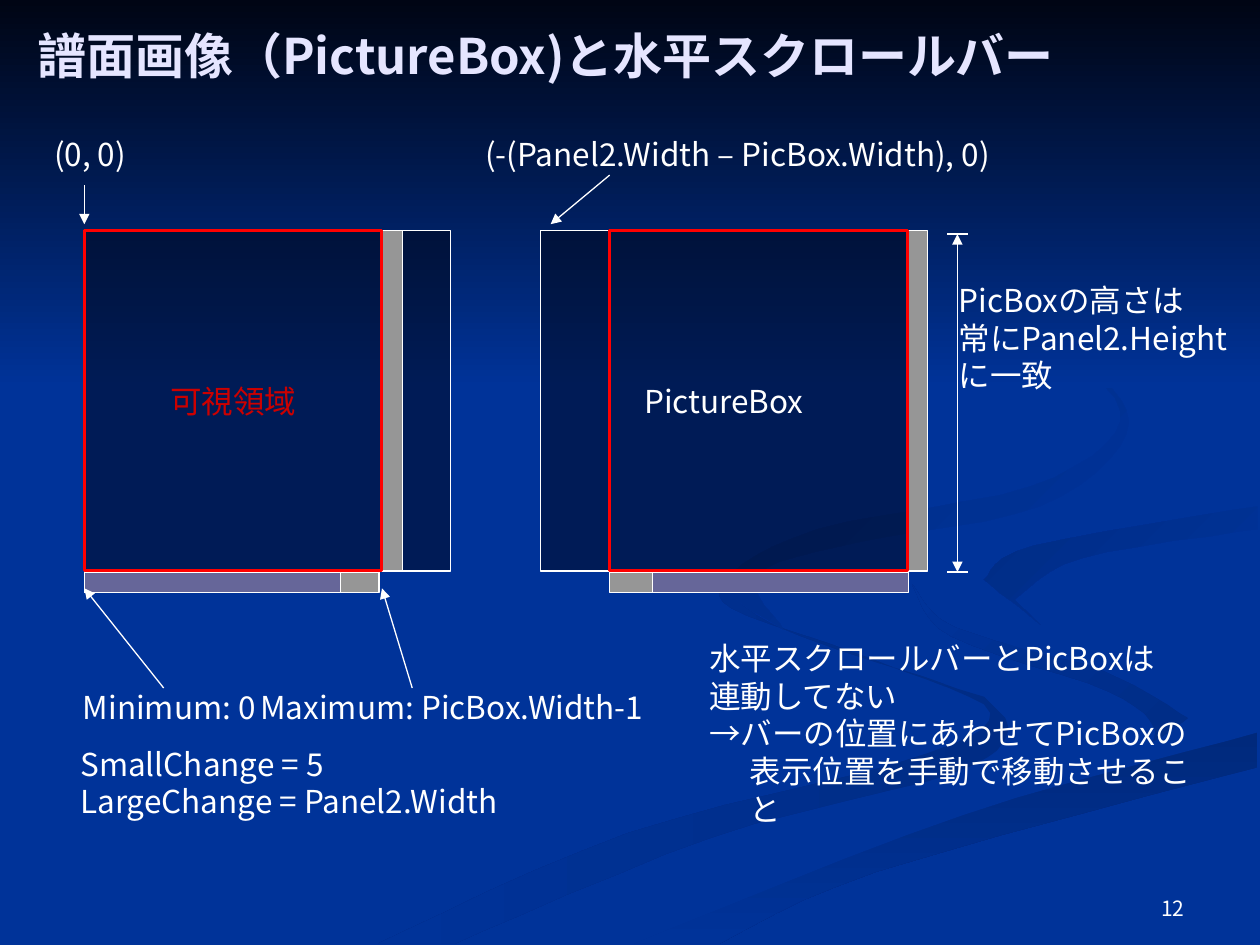
"""Build the slide on a score picture box and its horizontal scroll bar."""
from typing import NamedTuple, Optional

from lxml.etree import SubElement
from pptx import Presentation
from pptx.dml.color import RGBColor
from pptx.enum.shapes import MSO_CONNECTOR, MSO_SHAPE
from pptx.enum.text import MSO_ANCHOR, MSO_AUTO_SIZE, PP_ALIGN
from pptx.oxml.ns import qn
from pptx.util import Cm, Pt

FONT = "Noto Sans CJK JP"
BLUE = RGBColor(0x00, 0x33, 0x99)
NAVY = RGBColor(0x00, 0x05, 0x14)
SHADE = RGBColor(0x00, 0x2C, 0x85)
DEEP_SHADE = RGBColor(0x00, 0x29, 0x7C)
WHITE = RGBColor(0xFF, 0xFF, 0xFF)
LAVENDER = RGBColor(0xE5, 0xE5, 0xFF)
GRAY = RGBColor(0x96, 0x96, 0x96)
THUMB = RGBColor(0x66, 0x66, 0x99)
RED = RGBColor(0xFF, 0x00, 0x00)
DARK_RED = RGBColor(0xCC, 0x00, 0x00)

PANEL_TOP, PANEL_HEIGHT, PICTURE_WIDTH, VIEW_WIDTH = 4.65, 6.86, 7.39, 6.0
BAR_TOP, BAR_SIZE, TRACK_WIDTH, THUMB_WIDTH = 11.53, 0.41, 5.94, 5.16
LINE_HEIGHT = 0.76
SWIRL_UNIT = Cm(0.0254)
CURVE_STEPS = 6


class Swirl(NamedTuple):
    start: RGBColor
    end: RGBColor
    angle: int
    edges: list


class Panel(NamedTuple):
    picture_left: float
    view_left: float
    thumb_left: float
    picture_text: str
    view_text: str


class Label(NamedTuple):
    left: float
    top: float
    width: float
    lines: list
    last_indent: float = 0


class Arrow(NamedTuple):
    start: tuple
    end: tuple
    head: bool = False
    tail: bool = True


SWIRLS = [
    Swirl(SHADE, BLUE, 180, [
        [(781, 553), (614, 496), (575, 459)],
        [(575, 459), (581, 483), (697, 525), (786, 566), (714, 605), (499, 661), (300, 749)],
        [(361, 749), (564, 665), (756, 614), (800, 581), (781, 553)]]),
    Swirl(SHADE, BLUE, 225, [
        [(724, 464), (755, 505), (880, 549), (917, 581), (894, 605)],
        [(943, 570), (870, 530), (758, 498), (724, 464)]]),
    Swirl(DEEP_SHADE, BLUE, 90, [
        [(571, 749), (695, 692), (998, 609)],
        [(998, 581), (764, 647), (503, 749)]]),
    Swirl(BLUE, BLUE, 90, [
        [(725, 464), (775, 503), (905, 540), (943, 570), (843, 618), (619, 684), (477, 749)],
        [(503, 749), (764, 647), (999, 581)],
        [(999, 538), (804, 485), (781, 463), (865, 424), (999, 402)],
        [(999, 387), (770, 427), (725, 464)]]),
    Swirl(BLUE, SHADE, 225, [
        [(781, 460), (826, 496)],
        [(805, 476), (859, 443), (998, 420)],
        [(998, 402), (821, 433), (781, 460)]]),
    Swirl(BLUE, SHADE, 225, [
        [(762, 233), (864, 291), (894, 344), (825, 402), (683, 430), (578, 456), (622, 500)][:4]
        + [(683, 430), (601, 456), (622, 500)],
        [(622, 500), (577, 462), (649, 420), (818, 386), (889, 335), (846, 279), (762, 233)]]),
    Swirl(NAVY, BLUE, 90, [[(0, 0), (0, 308)], [(1000, 308), (1000, 0)]]),
]

PANELS = [
    Panel(1.7, 1.7, 1.7, "", "可視領域"),
    Panel(10.9, 12.29, 13.16, "PictureBox", ""),
]

LABELS = [
    Label(1.42, 13.87, 3.99, ["Minimum: 0"]),
    Label(5.0, 13.87, 8.26, ["Maximum: PicBox.Width-1"]),
    Label(1.37, 15.01, 8.99, ["SmallChange = 5", "LargeChange = Panel2.Width"]),
    Label(0.84, 2.72, 1.96, ["(0, 0)"]),
    Label(9.53, 2.72, 10.77, ["(-(Panel2.Width – PicBox.Width), 0)"]),
    Label(14.05, 12.88, 10.8, ["水平スクロールバーとPicBoxは", "連動してない",
                               "→バーの位置にあわせてPicBoxの", "表示位置を手動で移動させること"], 0.81),
    Label(19.08, 5.66, 6.1, ["PicBoxの高さは", "常にPanel2.Height", "に一致"]),
]

ARROWS = [
    Arrow((3.3, 13.87), (1.7, 11.86)),
    Arrow((8.31, 13.87), (7.7, 11.86)),
    Arrow((12.29, 3.53), (11.1, 4.52)),
    Arrow((1.7, 3.73), (1.7, 4.52)),
    Arrow((19.1, 11.53), (19.51, 11.53), tail=False),
    Arrow((19.1, 4.72), (19.51, 4.72), tail=False),
    Arrow((19.3, 11.53), (19.3, 4.72), head=True),
]


def write_text(frame, text: str, *, size=18, color=WHITE, bold=False, align=PP_ALIGN.LEFT,
               anchor=MSO_ANCHOR.TOP, wrap=False, inset=0.0, spacing=None) -> None:
    frame.text = text
    frame.word_wrap = wrap
    frame.vertical_anchor = anchor
    frame.margin_left = frame.margin_right = Cm(0.25)
    frame.margin_top = frame.margin_bottom = Cm(inset)
    for paragraph in frame.paragraphs:
        paragraph.alignment = align
        paragraph.line_spacing = spacing
        for run in paragraph.runs:
            run.font.name, run.font.size, run.font.bold = FONT, Pt(size), bold
            run.font.color.rgb = color
            SubElement(run.font._element, qn("a:ea")).set("typeface", FONT)


def smooth(edge: list) -> list:
    padded = [edge[0], *edge, edge[-1]]
    points = [edge[0]]
    for before, start, end, after in zip(padded, padded[1:], padded[2:], padded[3:]):
        for step in range(1, CURVE_STEPS + 1):
            t = step / CURVE_STEPS
            points.append(tuple(
                b + t * (c - a + t * (2 * a - 5 * b + 4 * c - d + t * (3 * b - a - 3 * c + d))) / 2
                for a, b, c, d in zip(before, start, end, after)))
    return points


def draw_swirl(slide, swirl: Swirl) -> None:
    points = [point for edge in swirl.edges for point in smooth(edge)]
    builder = slide.shapes.build_freeform(*points[0], scale=SWIRL_UNIT)
    builder.add_line_segments(points[1:], close=True)
    shape = builder.convert_to_shape()
    shape.shadow.inherit = False
    shape.line.fill.background()
    shape.fill.gradient()
    shape.fill.gradient_angle = 360 - swirl.angle
    for stop, color, position in zip(shape.fill.gradient_stops, (swirl.start, swirl.end), (0, 1)):
        stop.color.rgb, stop.position = color, position


def draw_box(slide, left: float, top: float, width: float, height: float,
             fill: Optional[RGBColor] = None, line=WHITE, weight=0.75, alpha=100, text="", color=WHITE) -> None:
    shape = slide.shapes.add_shape(MSO_SHAPE.RECTANGLE, Cm(left), Cm(top), Cm(width), Cm(height))
    shape.shadow.inherit = False
    shape.line.color.rgb, shape.line.width = line, Pt(weight)
    if fill is None:
        shape.fill.background()
    else:
        shape.fill.solid()
        shape.fill.fore_color.rgb = fill
    if alpha < 100:
        color_element = shape._element.spPr.find(qn("a:solidFill")).find(qn("a:srgbClr"))
        SubElement(color_element, qn("a:alpha")).set("val", str(alpha * 1000))
    if text:
        write_text(shape.text_frame, text, color=color, align=PP_ALIGN.CENTER, anchor=MSO_ANCHOR.MIDDLE)


def draw_panel(slide, panel: Panel) -> None:
    view_right = panel.view_left + VIEW_WIDTH
    draw_box(slide, panel.picture_left, PANEL_TOP, PICTURE_WIDTH, PANEL_HEIGHT, NAVY, alpha=50,
             text=panel.picture_text)
    draw_box(slide, panel.view_left, BAR_TOP, TRACK_WIDTH, BAR_SIZE, GRAY)
    draw_box(slide, view_right, PANEL_TOP, BAR_SIZE, PANEL_HEIGHT, GRAY)
    draw_box(slide, panel.thumb_left, BAR_TOP, THUMB_WIDTH, BAR_SIZE, THUMB)
    draw_box(slide, panel.view_left, PANEL_TOP, VIEW_WIDTH, PANEL_HEIGHT, line=RED, weight=1.75,
             text=panel.view_text, color=DARK_RED)


def draw_label(slide, label: Label) -> None:
    height = LINE_HEIGHT * len(label.lines)
    box = slide.shapes.add_textbox(Cm(label.left), Cm(label.top), Cm(label.width), Cm(height))
    write_text(box.text_frame, "\n".join(label.lines), spacing=Pt(21.6))
    box.text_frame.auto_size = MSO_AUTO_SIZE.SHAPE_TO_FIT_TEXT
    if label.last_indent:
        properties = box.text_frame.paragraphs[-1]._p.get_or_add_pPr()
        properties.set("marL", str(Cm(label.last_indent)))


def draw_arrow(slide, arrow: Arrow) -> None:
    ends = [Cm(value) for value in arrow.start + arrow.end]
    connector = slide.shapes.add_connector(MSO_CONNECTOR.STRAIGHT, *ends)
    connector.line.color.rgb, connector.line.width = WHITE, Pt(0.75)
    for name, shown in (("a:headEnd", arrow.head), ("a:tailEnd", arrow.tail)):
        if shown:
            SubElement(connector.line._get_or_add_ln(), qn(name)).set("type", "triangle")
    SubElement(connector._element.spPr, qn("a:effectLst"))


def main() -> None:
    presentation = Presentation()
    presentation.slide_width, presentation.slide_height = Cm(25.4), Cm(19.05)
    slide = presentation.slides.add_slide(presentation.slide_layouts[5])
    slide.background.fill.solid()
    slide.background.fill.fore_color.rgb = BLUE
    title = slide.shapes.title
    for swirl in SWIRLS:
        draw_swirl(slide, swirl)
    slide.shapes._spTree.append(title._element)
    title.left, title.top, title.width, title.height = Cm(0.51), Cm(0.33), Cm(24.41), Cm(1.55)
    write_text(title.text_frame, "譜面画像（PictureBox)と水平スクロールバー", size=28, color=LAVENDER,
               bold=True, anchor=MSO_ANCHOR.MIDDLE, wrap=True, inset=0.13)
    for items, draw in ((PANELS, draw_panel), (LABELS, draw_label), (ARROWS, draw_arrow)):
        for item in items:
            draw(slide, item)
    number = slide.shapes.add_textbox(Cm(18.21), Cm(17.93), Cm(5.92), Cm(0.76))
    write_text(number.text_frame, "12", size=12, align=PP_ALIGN.RIGHT, anchor=MSO_ANCHOR.BOTTOM,
               wrap=True, inset=0.13)
    presentation.save("out.pptx")


if __name__ == "__main__":
    main()
